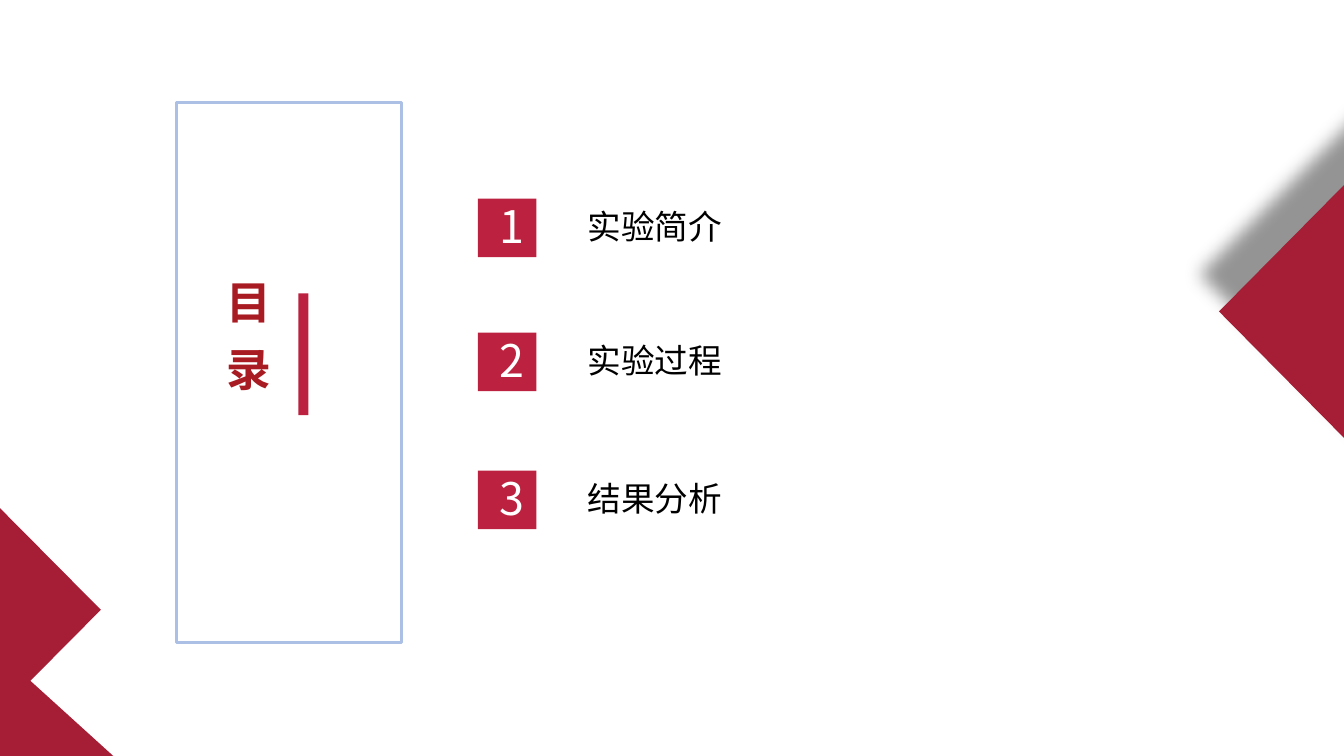
from dataclasses import dataclass

from lxml import etree
from pptx import Presentation
from pptx.dml.color import RGBColor
from pptx.enum.shapes import MSO_SHAPE
from pptx.enum.text import MSO_ANCHOR, PP_ALIGN
from pptx.oxml.ns import qn
from pptx.util import Emu, Inches, Pt

RECT = MSO_SHAPE.RECTANGLE
ROUND_RECT = MSO_SHAPE.ROUNDED_RECTANGLE
TRIANGLE = MSO_SHAPE.ISOSCELES_TRIANGLE
TOP, MIDDLE = MSO_ANCHOR.TOP, MSO_ANCHOR.MIDDLE
LEFT, CENTER = PP_ALIGN.LEFT, PP_ALIGN.CENTER


@dataclass(frozen=True)
class Theme:
    font: str = "Noto Sans CJK SC"
    corner: RGBColor = RGBColor(0xA6, 0x1E, 0x36)
    accent: RGBColor = RGBColor(0xBC, 0x22, 0x3F)
    title: RGBColor = RGBColor(0xA9, 0x1B, 0x22)
    frame: RGBColor = RGBColor(0xAB, 0xC0, 0xE4)
    white: RGBColor = RGBColor(0xFF, 0xFF, 0xFF)
    black: RGBColor = RGBColor(0, 0, 0)
    big: Pt = Pt(32)
    body: Pt = Pt(24)
    frame_line: Pt = Pt(2.25)


@dataclass(frozen=True)
class Box:
    x: float
    y: float
    w: float
    h: float

    def emu(self) -> tuple[Emu, ...]:
        return tuple(Inches(v) for v in (self.x, self.y, self.w, self.h))


@dataclass(frozen=True)
class Entry:
    number: str
    label: str
    y: float
    label_w: float


THEME = Theme()
ENTRIES = [
    Entry("1", "实验简介", 1.97, 3.22),
    Entry("2", "实验过程", 3.30, 3.53),
    Entry("3", "结果分析", 4.67, 5.29),
]


def paint(s, color: RGBColor) -> None:
    s.shadow.inherit = False
    s.fill.solid()
    s.fill.fore_color.rgb = color
    s.line.fill.background()


def add_block(slide, kind, box: Box, color: RGBColor):
    s = slide.shapes.add_shape(kind, *box.emu())
    paint(s, color)
    if kind == ROUND_RECT:
        s.adjustments[0] = 0
    return s


def add_polygon(slide, points: list[tuple[float, float]], color: RGBColor):
    pts = [(Inches(x), Inches(y)) for x, y in points]
    builder = slide.shapes.build_freeform(*pts[0])
    builder.add_line_segments(pts[1:], close=True)
    s = builder.convert_to_shape()
    paint(s, color)
    return s


def add_shadow(s, blur: float, dist: float, degrees: int, alpha: int) -> None:
    effects = s._element.spPr.find(qn("a:effectLst"))
    shadow = etree.SubElement(
        effects, qn("a:outerShdw"), blurRad=str(Pt(blur)),
        dist=str(Inches(dist)), dir=str(degrees * 60000), rotWithShape="0")
    color = etree.SubElement(shadow, qn("a:srgbClr"), val="000000")
    etree.SubElement(color, qn("a:alpha"), val=str(alpha * 1000))


def add_text(slide, box: Box, text: str, size: Pt, color: RGBColor,
             align=LEFT, anchor=MIDDLE, bold: bool = False):
    tf = slide.shapes.add_textbox(*box.emu()).text_frame
    tf.word_wrap = True
    tf.vertical_anchor = anchor
    tf.text = text
    p = tf.paragraphs[0]
    p.alignment = align
    font = p.runs[0].font
    font.name, font.size, font.bold = THEME.font, size, bold
    font.color.rgb = color
    etree.SubElement(font._element, qn("a:ea"), typeface=THEME.font)
    return p


def add_corners(slide) -> None:
    left = add_block(slide, TRIANGLE, Box(-4.61, 4.19, 7.5, 3.72), THEME.corner)
    left.rotation = 90
    add_polygon(slide, [(-0.64, 5.9), (3.78, 9.91), (-3.13, 10.63), (-3.22, 9.75)],
                THEME.corner)
    right = add_polygon(slide, [(13.81, 4.83), (12.09, 3.09), (13.81, 1.35)],
                        THEME.corner)
    add_shadow(right, blur=13, dist=0.42, degrees=243, alpha=42)


def add_title(slide) -> None:
    p = add_text(slide, Box(2.15, 2.54, 0.51, 1.94), "目录", THEME.big,
                 THEME.title, anchor=TOP, bold=True)
    p.line_spacing = 1.25
    add_block(slide, RECT, Box(2.96, 2.91, 0.1, 1.21), THEME.accent)
    frame = add_block(slide, ROUND_RECT, Box(1.75, 1.02, 2.23, 5.35), THEME.white)
    frame.fill.background()
    frame.line.color.rgb = THEME.frame
    frame.line.width = THEME.frame_line


def add_entry(slide, entry: Entry) -> None:
    add_text(slide, Box(5.73, entry.y + 0.02, entry.label_w, 0.5), entry.label,
             THEME.body, THEME.black)
    add_block(slide, ROUND_RECT, Box(4.74, entry.y, 0.58, 0.58), THEME.accent)
    add_text(slide, Box(4.86, entry.y - 0.05, 0.35, 0.64), entry.number,
             THEME.big, THEME.white, align=CENTER)


def main() -> None:
    prs = Presentation()
    prs.slide_width, prs.slide_height = Inches(13.33), Inches(7.5)
    slide = prs.slides.add_slide(prs.slide_layouts[6])

    # Corner decoration
    add_corners(slide)
    # Framed title
    add_title(slide)
    # Numbered contents
    for entry in ENTRIES:
        add_entry(slide, entry)

    prs.save("out.pptx")


if __name__ == "__main__":
    main()
